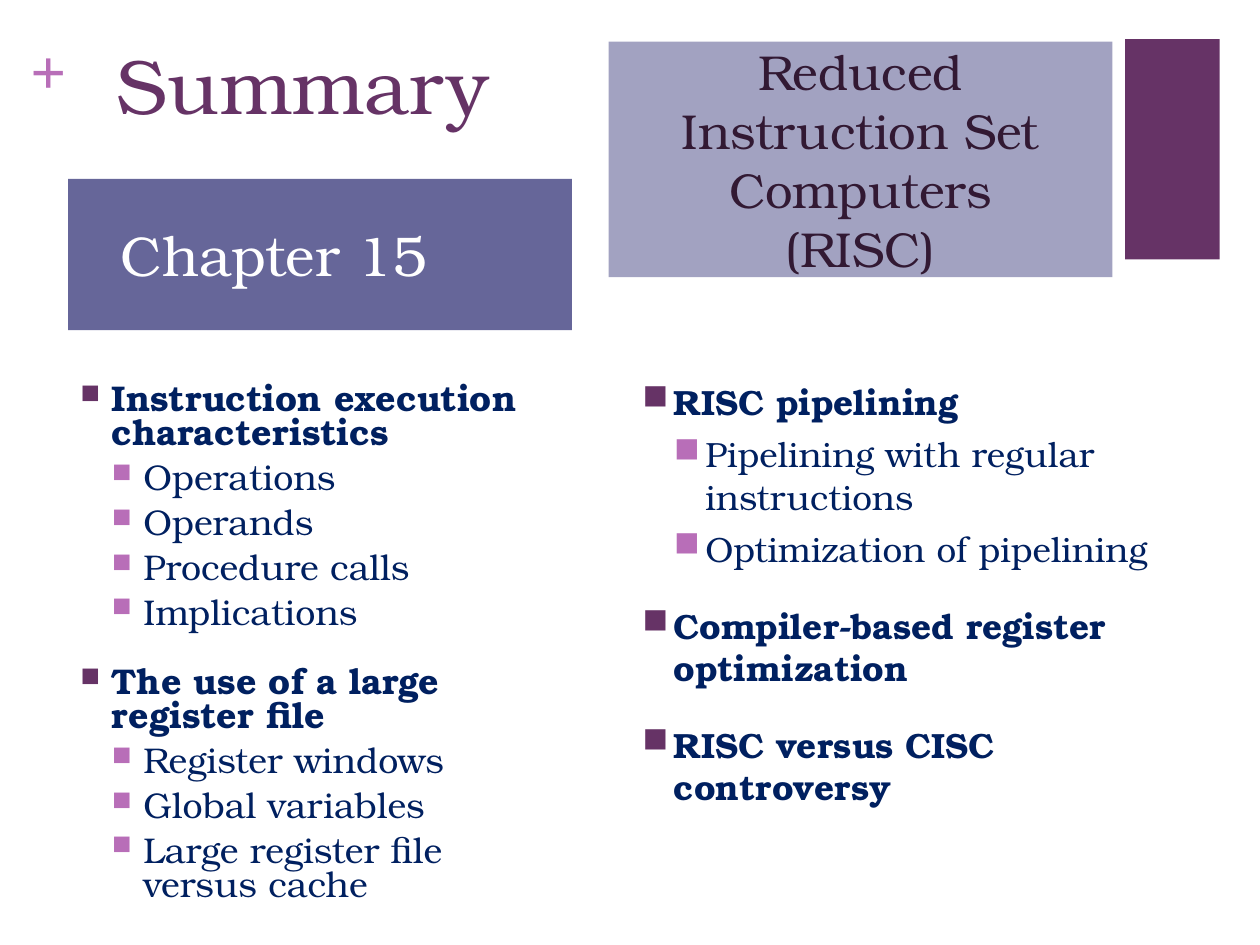
from lxml import etree
from pptx import Presentation
from pptx.dml.color import RGBColor
from pptx.enum.shapes import MSO_SHAPE
from pptx.enum.text import MSO_ANCHOR, PP_ALIGN
from pptx.oxml.ns import qn
from pptx.util import Inches, Pt

RECTANGLE = MSO_SHAPE.RECTANGLE
TOP, MIDDLE = MSO_ANCHOR.TOP, MSO_ANCHOR.MIDDLE
LEFT, CENTER = PP_ALIGN.LEFT, PP_ALIGN.CENTER

SERIF = "TeX Gyre Bonum"
PLUM, ORCHID, NAVY = "663366", "B86EB8", "002060"
BULLET_COLORS = (PLUM, ORCHID)

REGISTER_TOPICS = [
    (0, "Instruction execution characteristics"),
    (1, "Operations"),
    (1, "Operands"),
    (1, "Procedure calls"),
    (1, "Implications"),
    (0, "The use of a large register file"),
    (1, "Register windows"),
    (1, "Global variables"),
    (1, "Large register file versus cache"),
]
PIPELINE_TOPICS = [
    (0, "RISC pipelining"),
    (1, "Pipelining with regular instructions"),
    (1, "Optimization of pipelining"),
    (0, "Compiler-based register optimization"),
    (0, "RISC versus CISC controversy"),
]


def rgb(color):
    return RGBColor.from_string(color)


def add_block(slide, bounds, color):
    block = slide.shapes.add_shape(RECTANGLE, *map(Inches, bounds))
    block.shadow.inherit = False
    block.fill.solid()
    block.fill.fore_color.rgb = rgb(color)
    block.line.fill.background()
    return block


def add_box(slide, bounds):
    return slide.shapes.add_textbox(*map(Inches, bounds))


def set_frame(shape, insets=(0.1, 0.05, 0.1, 0.05), anchor=TOP, wrap=True):
    frame = shape.text_frame
    frame.word_wrap = wrap
    frame.vertical_anchor = anchor
    (frame.margin_left, frame.margin_top,
     frame.margin_right, frame.margin_bottom) = map(Inches, insets)
    return frame


def write(paragraph, text, size, color, font=SERIF, bold=False, align=LEFT):
    paragraph.alignment = align
    run = paragraph.add_run()
    run.text = text
    run.font.size = Pt(size)
    run.font.name = font
    run.font.bold = bold
    run.font.color.rgb = rgb(color)


def set_bullet(paragraph, level, scale):
    properties = paragraph._p.get_or_add_pPr()
    properties.set("marL", str(Inches(0.25 * (level + 1))))
    properties.set("indent", str(Inches(-0.25)))
    bullet_color = etree.SubElement(properties, qn("a:buClr"))
    etree.SubElement(bullet_color, qn("a:srgbClr"), val=BULLET_COLORS[level])
    etree.SubElement(properties, qn("a:buSzPct"), val=str(scale * 1000))
    etree.SubElement(properties, qn("a:buChar"), char="■")


def add_paragraph(frame, index):
    return frame.add_paragraph() if index else frame.paragraphs[0]


def add_topics(slide, bounds, topics, size, bullet_scale, line_spacing):
    frame = set_frame(add_box(slide, bounds))
    for index, (level, topic) in enumerate(topics):
        paragraph = add_paragraph(frame, index)
        set_bullet(paragraph, level, bullet_scale)
        paragraph.level = level
        paragraph.line_spacing = line_spacing
        if index:
            paragraph.space_before = Pt(6 if level else 20)
        write(paragraph, topic, size, NAVY, bold=level == 0)


def main():
    presentation = Presentation()
    presentation.slide_width = Inches(10)
    presentation.slide_height = Inches(7.5)
    slide = presentation.slides.add_slide(presentation.slide_layouts[6])

    add_block(slide, (8.93, 0.31, 0.75, 1.75), PLUM)
    plus = set_frame(add_box(slide, (0.24, 0.25, 0.29, 0.61)), (0, 0, 0, 0), wrap=False)
    write(plus.paragraphs[0], "+", 36, ORCHID, font="Times New Roman", bold=True)

    title = set_frame(add_box(slide, (0.83, 0.25, 4.45, 1.22)))
    write(title.paragraphs[0], "Summary", 44, PLUM)

    add_topics(slide, (0.54, 3, 4, 4.25), REGISTER_TOPICS, 20.4, 75, 0.8)
    add_topics(slide, (5, 2.97, 4.58, 3.75), PIPELINE_TOPICS, 20, 100, 1.0)

    chapter = set_frame(add_block(slide, (0.54, 1.42, 4, 1.2), "666699"),
                        (0.42, 0, 0.1, 0), MIDDLE)
    write(chapter.paragraphs[0], "Chapter 15", 32, "FFFFFF")

    subject = set_frame(add_block(slide, (4.83, 0.33, 4, 1.87), "A2A2C1"),
                        (0.1, 0, 0.1, 0), MIDDLE)
    for index, line in enumerate(("Reduced Instruction Set Computers", "(RISC)")):
        write(add_paragraph(subject, index), line, 28, "321933", align=CENTER)

    presentation.save("out.pptx")


if __name__ == "__main__":
    main()
